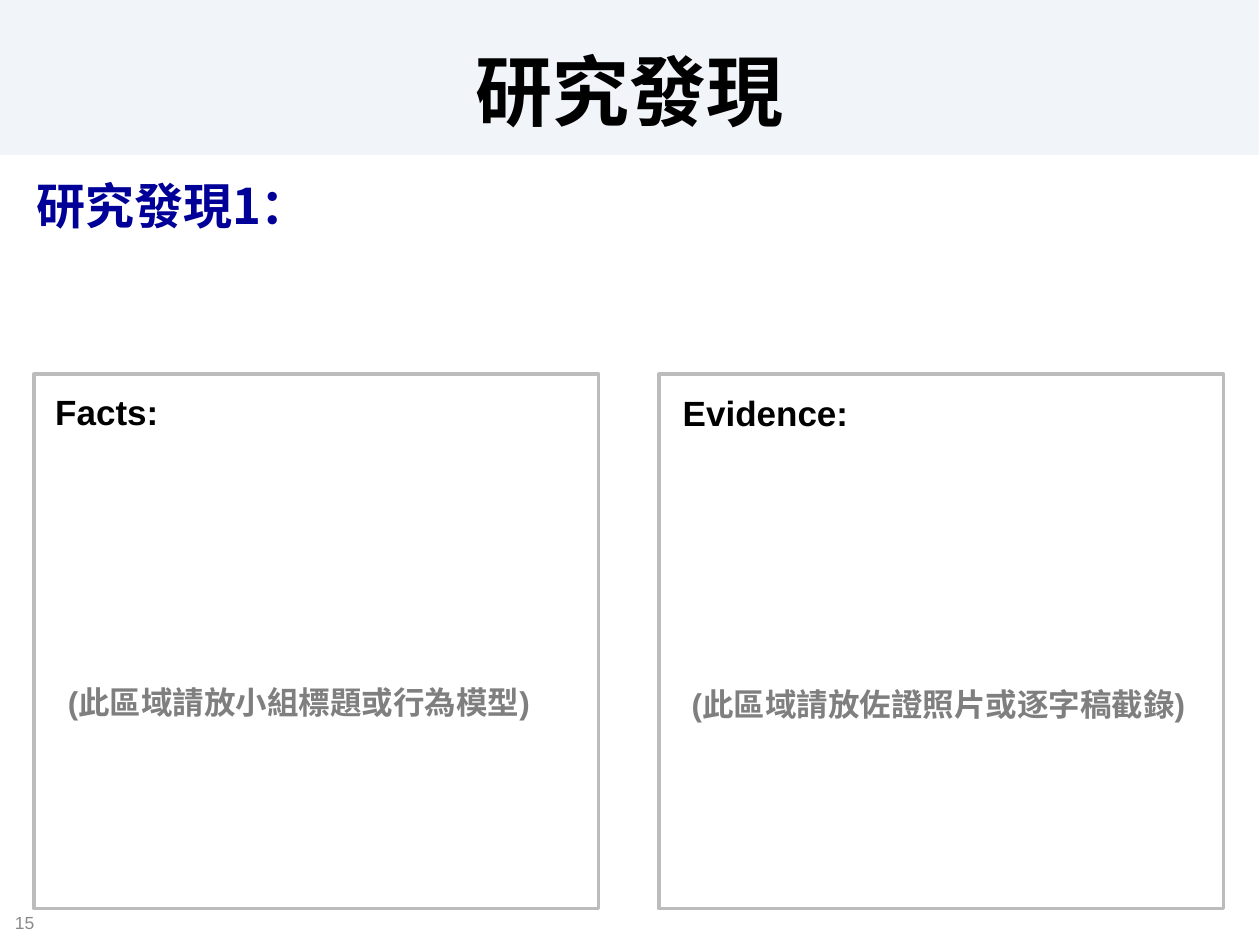
from lxml import etree
from pptx import Presentation
from pptx.dml.color import RGBColor
from pptx.enum.shapes import MSO_SHAPE as Shape
from pptx.enum.text import MSO_ANCHOR as Anchor, PP_ALIGN as Align
from pptx.oxml.ns import qn
from pptx.util import Inches, Pt

BAND = RGBColor(0xF0, 0xF3, 0xF8)
WHITE = RGBColor(0xFF, 0xFF, 0xFF)
BORDER = RGBColor(0xBC, 0xBC, 0xBC)
BLACK = RGBColor(0x00, 0x00, 0x00)
NAVY = RGBColor(0x00, 0x00, 0x99)
HINT_GRAY = RGBColor(0x7F, 0x7F, 0x7F)
NUMBER_GRAY = RGBColor(0x89, 0x89, 0x89)
LATIN_FONT = "Arial"
CJK_FONT = "Noto Sans CJK SC"

deck = Presentation()
deck.slide_width = Inches(10)
deck.slide_height = Inches(7.5)
page = deck.slides.add_slide(deck.slide_layouts[6])


def add_rectangle(left, top, width, height, color):
    rectangle = page.shapes.add_shape(
        Shape.RECTANGLE, Inches(left), Inches(top), Inches(width), Inches(height))
    rectangle.shadow.inherit = False
    rectangle.fill.solid()
    rectangle.fill.fore_color.rgb = color
    rectangle.line.fill.background()
    return rectangle


def add_text(left, top, width, height, text, size, color, bold=True,
             font=LATIN_FONT, align=Align.LEFT, anchor=Anchor.TOP, before=0, after=0):
    box = page.shapes.add_textbox(
        Inches(left), Inches(top), Inches(width), Inches(height))
    box.text_frame.word_wrap = True
    box.text_frame.vertical_anchor = anchor
    para = box.text_frame.paragraphs[0]
    para.alignment = align
    para.space_before = Pt(before)
    para.space_after = Pt(after)
    span = para.add_run()
    span.text = text
    span.font.name = font
    span.font.size = Pt(size)
    span.font.bold = bold
    span.font.color.rgb = color
    # East Asian characters take their own typeface
    east_asian = etree.SubElement(span.font._element, qn("a:ea"))
    east_asian.set("typeface", CJK_FONT)


# Slide number
add_text(-0.02, 7.2, 0.43, 0.24, "15", 10, NUMBER_GRAY, bold=False,
         align=Align.CENTER, anchor=Anchor.MIDDLE)

# Title band, slightly transparent
band = add_rectangle(-0.01, -0.01, 10, 1.24, BAND)
band_color = band.fill._xPr.find(qn("a:solidFill"))[0]
etree.SubElement(band_color, qn("a:alpha")).set("val", "90000")
add_text(0.5, 0.3, 9, 1.25, "研究發現", 44, BLACK, align=Align.CENTER)

# Finding heading
add_text(0.19, 1.34, 9.61, 1.89, "研究發現1：", 28, NAVY, font=CJK_FONT,
         before=7, after=10.5)

# Facts and evidence panels: panel left, label place, hint place
panels = [
    (0.27, "Facts:", 0.34, 3.05, "(此區域請放小組標題或行為模型)", 0.44, 5.37),
    (5.23, "Evidence:", 5.32, 3.06, "(此區域請放佐證照片或逐字稿截錄)", 5.39, 5.39),
]
for left, label, label_left, label_top, hint, hint_left, hint_top in panels:
    panel = add_rectangle(left, 2.97, 4.48, 4.24, WHITE)
    panel.line.color.rgb = BORDER
    panel.line.width = Pt(2)
    add_text(label_left, label_top, 2.64, 0.64, label, 20, BLACK, before=5, after=7.5)
    add_text(hint_left, hint_top, 4.69, 0.4, hint, 18, HINT_GRAY)

deck.save("out.pptx")
